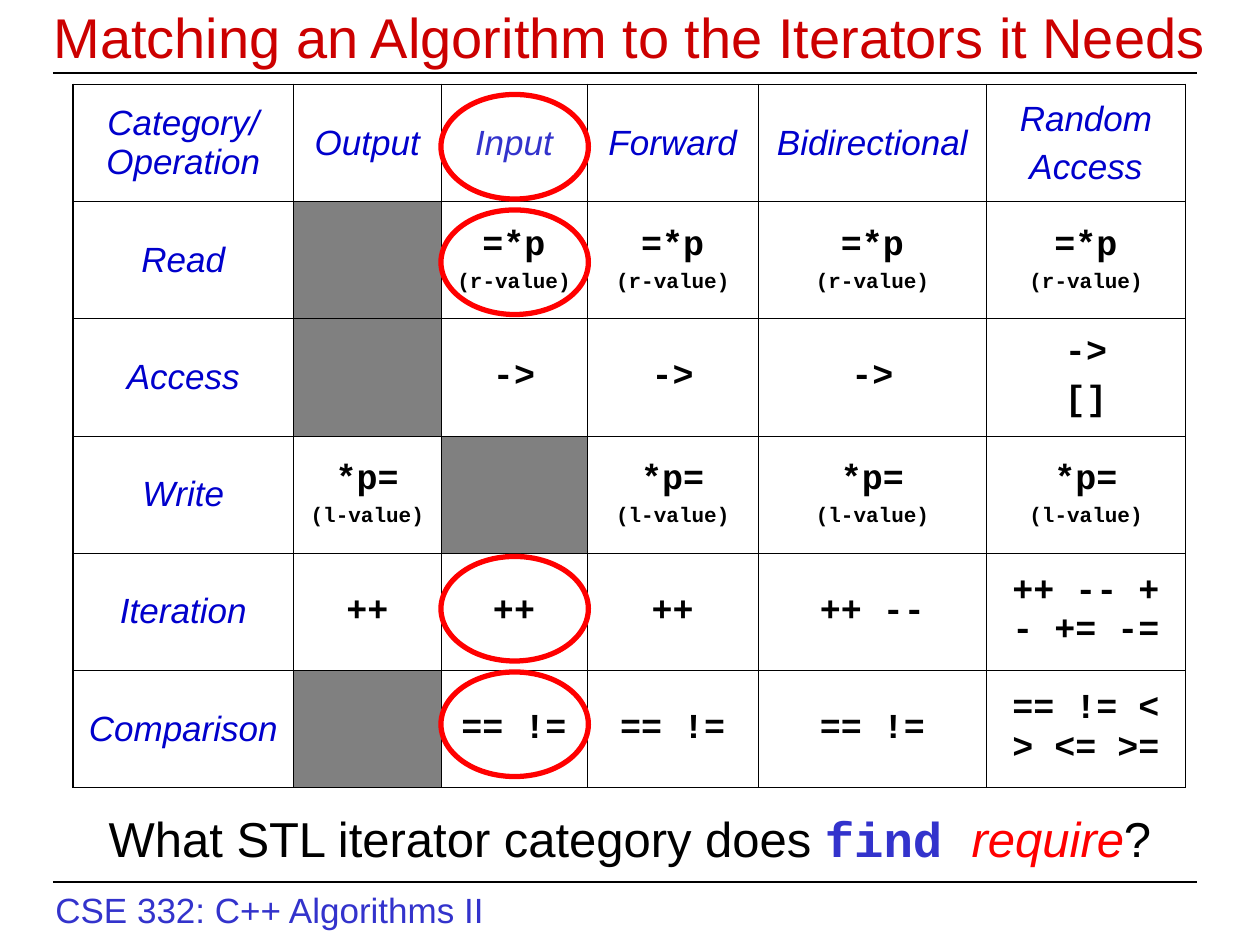
from lxml import etree
from pptx import Presentation
from pptx.dml.color import RGBColor
from pptx.enum.shapes import MSO_CONNECTOR, MSO_SHAPE
from pptx.enum.text import MSO_ANCHOR, MSO_AUTO_SIZE, PP_ALIGN
from pptx.oxml.ns import qn
from pptx.util import Inches, Pt

STRAIGHT = MSO_CONNECTOR.STRAIGHT
ELLIPSE = MSO_SHAPE.OVAL
MIDDLE = MSO_ANCHOR.MIDDLE
CENTER = PP_ALIGN.CENTER
NO_FIT = MSO_AUTO_SIZE.NONE
GROW = MSO_AUTO_SIZE.SHAPE_TO_FIT_TEXT

BLACK, WHITE, GRAY = "000000", "FFFFFF", "808080"
RED, BLUE, LABEL_BLUE = "FF0000", "3333CC", "0000CC"
SANS, MONO = "Arial", "Courier New"


def rgb(code):
    return RGBColor.from_string(code)


def add_run(paragraph, text, size, color, font=SANS, bold=False, italic=False):
    run = paragraph.add_run()
    run.text = text
    run.font.size = Pt(size)
    run.font.name = font
    run.font.bold = bold
    run.font.italic = italic
    run.font.color.rgb = rgb(color)


deck = Presentation()
deck.slide_width, deck.slide_height = Inches(10), Inches(7.5)
slide = deck.slides.add_slide(deck.slide_layouts[5])
shapes = slide.shapes

title = shapes.title
title.left, title.top, title.width, title.height = 0, 0, deck.slide_width, Inches(0.58)
heading = title.text_frame
heading.auto_size = NO_FIT
heading.vertical_anchor = MIDDLE
heading.margin_left = heading.margin_right = heading.margin_top = heading.margin_bottom = 0
heading.paragraphs[0].alignment = CENTER
add_run(heading.paragraphs[0], "Matching an Algorithm to the Iterators it Needs", 32, "CC0000")

for rule_top in (0.58, 7):
    rule = shapes.add_connector(STRAIGHT, Inches(0.42), Inches(rule_top), Inches(9.5), Inches(rule_top))
    rule.line.color.rgb = rgb(BLACK)
    rule.line.width = Pt(0.75)
    etree.SubElement(rule._element.spPr, qn("a:effectLst"))

course = shapes.add_textbox(Inches(0.34), Inches(7), Inches(3.62), Inches(0.44)).text_frame
course.word_wrap = False
course.auto_size = GROW
add_run(course.paragraphs[0], "CSE 332: C++ Algorithms II", 20, BLUE)

READ, WRITE = "=*p\n(r-value)", "*p=\n(l-value)"
operations = [
    ["Category/ Operation", "Output", "Input", "Forward", "Bidirectional", "Random\nAccess"],
    ["Read", "", READ, READ, READ, READ],
    ["Access", "", "->", "->", "->", "->\n[]"],
    ["Write", WRITE, "", WRITE, WRITE, WRITE],
    ["Iteration", "++", "++", "++", "++ --", "++ -- + - += -="],
    ["Comparison", "", "== !=", "== !=", "== !=", "== != < > <= >="],
]
column_widths = [1.75, 1.17, 1.16, 1.36, 1.81, 1.58]
row_height = 0.93
last = len(operations) - 1

grid = shapes.add_table(
    len(operations), len(column_widths), Inches(0.58), Inches(0.67),
    Inches(sum(column_widths)), Inches(row_height * len(operations)),
).table
grid.first_row = grid.horz_banding = False
for column, width in zip(grid.columns, column_widths):
    column.width = Inches(width)

for r, entries in enumerate(operations):
    grid.rows[r].height = Inches(row_height)
    for c, entry in enumerate(entries):
        cell = grid.cell(r, c)
        cell.vertical_anchor = MIDDLE
        cell.fill.solid()
        cell.fill.fore_color.rgb = rgb(WHITE if entry else GRAY)

        is_label = r == 0 or c == 0
        for i, words in enumerate(entry.split("\n") if entry else []):
            paragraph = cell.text_frame.paragraphs[0] if i == 0 else cell.text_frame.add_paragraph()
            is_note = words.endswith("-value)")
            paragraph.alignment = CENTER
            paragraph.space_before = Pt(3 if is_note else 5)
            if is_label:
                add_run(paragraph, words, 20, BLUE if words == "Input" else LABEL_BLUE, italic=True)
            else:
                add_run(paragraph, words, 12 if is_note else 20, BLACK, MONO, bold=True)

        properties = cell._tc.get_or_add_tcPr()
        outer_sides = {"lnL": c == 0, "lnR": c == last, "lnT": r == 0, "lnB": r == last}
        for position, (side, is_outer) in enumerate(outer_sides.items()):
            border = etree.Element(qn(f"a:{side}"), w=str(Pt(1.08 if is_outer else 0.45)))
            ink = etree.SubElement(border, qn("a:solidFill"))
            etree.SubElement(ink, qn("a:srgbClr"), val=BLACK)
            properties.insert(position, border)

question = shapes.add_textbox(0, Inches(6.42), deck.slide_width, Inches(0.67)).text_frame
question.word_wrap = True
sentence = question.paragraphs[0]
sentence.alignment = CENTER
sentence.line_spacing = 0.9
sentence.space_before = Pt(7)
add_run(sentence, "What STL iterator category does ", 28, BLACK)
add_run(sentence, "find ", 28, BLUE, MONO, bold=True)
add_run(sentence, "require", 28, RED, italic=True)
add_run(sentence, "?", 28, BLACK)

for needed_row in (0, 1, 4, 5):
    ring_top = 0.75 + needed_row * 5.5 / 6
    ring = shapes.add_shape(ELLIPSE, Inches(3.5), Inches(ring_top), Inches(1.17), Inches(0.83))
    ring.shadow.inherit = False
    ring.fill.background()
    ring.line.color.rgb = rgb(RED)
    ring.line.width = Pt(3)

deck.save("out.pptx")
